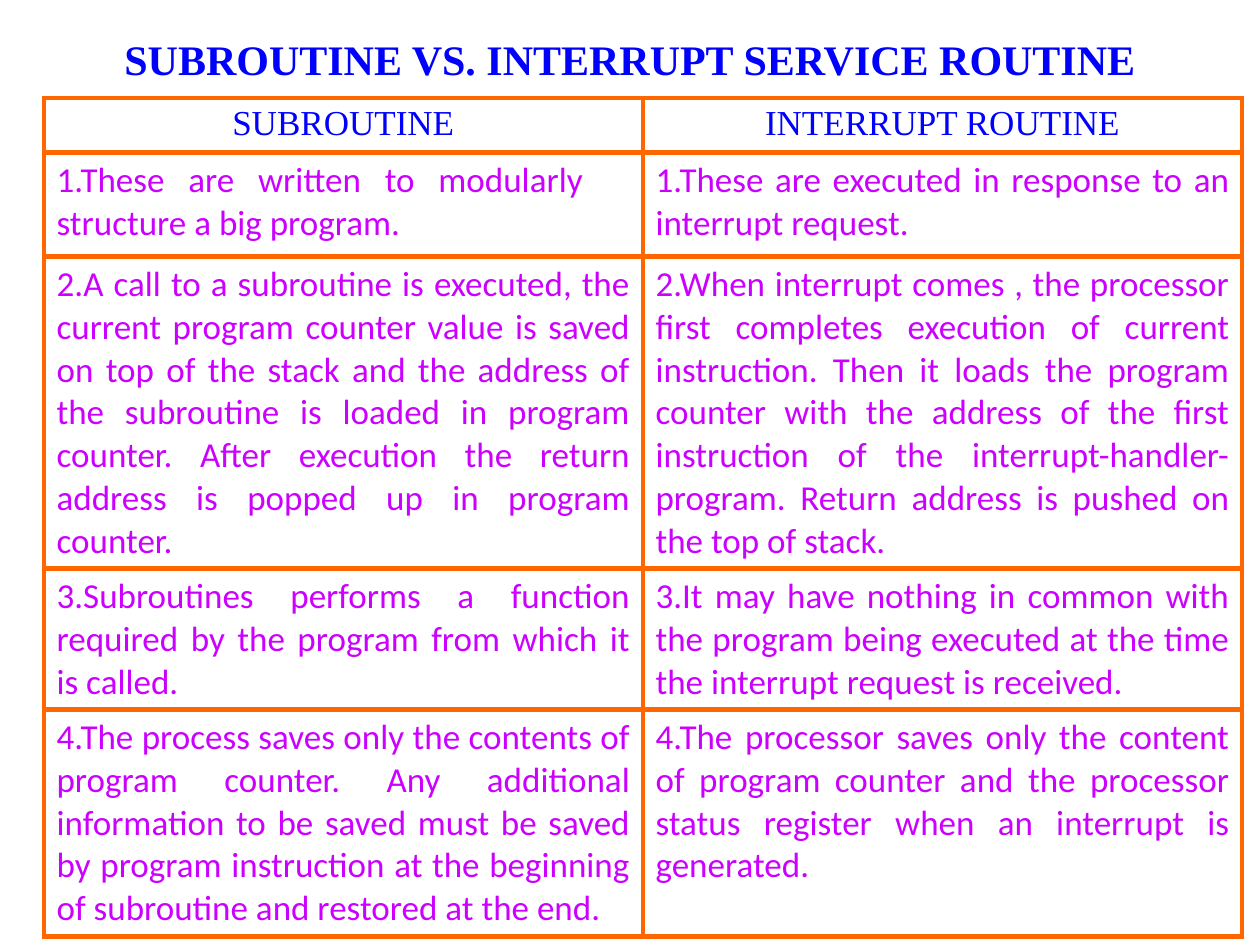
from dataclasses import dataclass

from lxml.etree import SubElement as Sub
from pptx import Presentation
from pptx.dml.color import RGBColor
from pptx.enum.text import MSO_ANCHOR as Anchor, PP_ALIGN as Align
from pptx.oxml.ns import qn
from pptx.util import Pt

BLUE = RGBColor(0x00, 0x00, 0xFF)
PURPLE = RGBColor(0xCC, 0x00, 0xFF)
ORANGE = RGBColor(0xFF, 0x66, 0x00)
WHITE = RGBColor(0xFF, 0xFF, 0xFF)

SCALE = 914400 / 126  # EMU per px
SERIF, SANS = "Times New Roman", "Calibri"

TITLE = {"name": SERIF, "size": Pt(24), "bold": True}
HEAD = {"name": SERIF, "size": Pt(20), "bold": False}
BODY = {"name": SANS, "size": Pt(20), "bold": False}


@dataclass
class Row:
    height: int
    left: str
    right: str
    inset: int = 13  # right margin of the left cell


ROWS = [
    Row(52, "SUBROUTINE", "INTERRUPT ROUTINE"),
    Row(104, "1.These are written to modularly structure a big program.",
        "1.These are executed in response to an interrupt request.", 60),
    Row(312, "2.A call to a subroutine is executed, the current program counter "
        "value is saved on top of the stack and the address of the subroutine is "
        "loaded in program counter. After execution the return address is popped "
        "up in program counter.",
        "2.When interrupt comes , the processor first completes execution of "
        "current instruction. Then it loads the program counter with the address "
        "of the first instruction of the interrupt-handler-program. Return "
        "address is pushed on the top of stack."),
    Row(141, "3.Subroutines performs a function required by the program from "
        "which it is called.",
        "3.It may have nothing in common with the program being executed at the "
        "time the interrupt request is received."),
    Row(227, "4.The process saves only the contents of program counter. Any "
        "additional information to be saved must be saved by program instruction "
        "at the beginning of subroutine and restored at the end.",
        "4.The processor saves only the content of program counter and the "
        "processor status register when an interrupt is generated."),
]


def px(n: int) -> int:
    return round(n * SCALE)


def write(frame, text: str, style: dict, color: RGBColor, align) -> None:
    par = frame.paragraphs[0]
    par.alignment = align
    run = par.add_run()
    run.text = text
    for key, value in style.items():
        setattr(run.font, key, value)
    run.font.color.rgb = color


def edge(cell) -> None:
    props = cell._tc.get_or_add_tcPr()
    for side in ("lnL", "lnR", "lnT", "lnB"):
        line = Sub(props, qn(f"a:{side}"), w=str(Pt(3)))
        fill = Sub(line, qn("a:solidFill"))
        Sub(fill, qn("a:srgbClr"), val=str(ORANGE))


def draw_title(slide) -> None:
    box = slide.shapes.add_textbox(px(63), px(15), px(1134), px(88))
    frame = box.text_frame
    frame.word_wrap = True
    frame.vertical_anchor = Anchor.MIDDLE
    write(frame, "SUBROUTINE VS. INTERRUPT SERVICE ROUTINE", TITLE, BLUE, Align.CENTER)


def draw_table(slide, rows: list[Row]) -> None:
    wide, high = 599, sum(row.height for row in rows)
    table = slide.shapes.add_table(
        len(rows), 2, px(44), px(98), px(2 * wide), px(high)).table
    table.first_row = table.horz_banding = False
    for col in table.columns:
        col.width = px(wide)
    for r, row in enumerate(rows):
        table.rows[r].height = px(row.height)
        look = (BODY, PURPLE, Align.JUSTIFY) if r else (HEAD, BLUE, Align.CENTER)
        for c, text in enumerate((row.left, row.right)):
            cell = table.cell(r, c)
            edge(cell)
            cell.fill.solid()
            cell.fill.fore_color.rgb = WHITE
            write(cell.text_frame, text, *look)
        table.cell(r, 0).margin_right = px(row.inset)


def main() -> None:
    deck = Presentation()
    deck.slide_width, deck.slide_height = px(1260), px(945)
    slide = deck.slides.add_slide(deck.slide_layouts[6])
    draw_title(slide)
    draw_table(slide, ROWS)
    deck.save("out.pptx")


if __name__ == "__main__":
    main()
